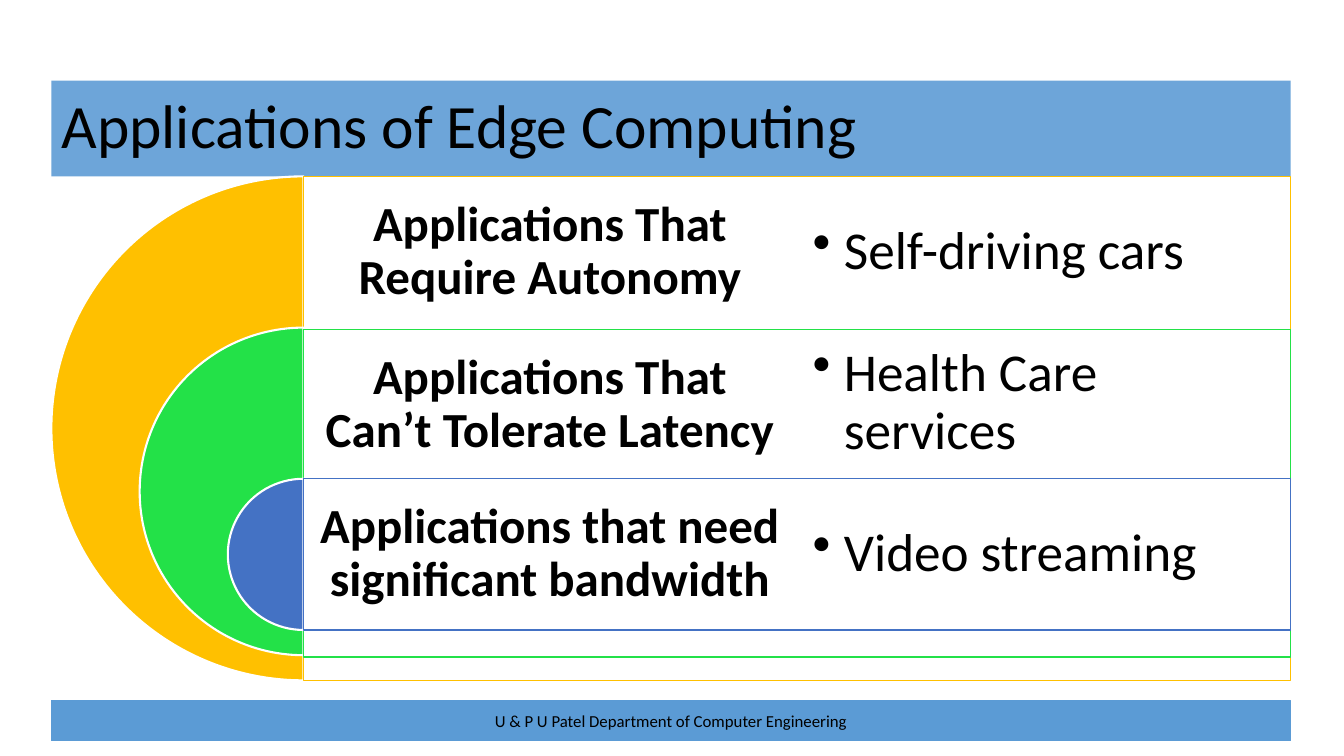
from lxml.etree import SubElement as Sub
from pptx import Presentation
from pptx.dml.color import RGBColor as Rgb
from pptx.enum.shapes import MSO_SHAPE as Kind
from pptx.enum.text import MSO_ANCHOR as Anchor, MSO_AUTO_SIZE as Fit, PP_ALIGN as Align
from pptx.oxml.ns import qn
from pptx.util import Inches, Pt

HUES = {
    "sky": "5B9BD5",
    "gold": "FFC000",
    "green": "23E148",
    "blue": "4472C4",
    "white": "FFFFFF",
    "black": "000000",
}
LEFT, WIDE, TOP, ROW = 0.51, 12.29, 1.75, 1.5
EDGE, HALF = 3.01, 4.89
RINGS = [
    ("gold", 5, 1.75, "Applications That Require Autonomy", "Self-driving cars"),
    ("green", 3.25, 3.27, "Applications That Can’t Tolerate Latency", "Health Care services"),
    ("blue", 1.5, 4.75, "Applications that need significant bandwidth", "Video streaming"),
]


def assign(item, vals):
    for key, val in vals.items():
        setattr(item, key, val)


class Deck:
    def __init__(self, face):
        self.face = face
        self.prs = Presentation()
        assign(self.prs, {"slide_width": Inches(13.33), "slide_height": Inches(7.5)})
        self.slide = self.prs.slides.add_slide(self.prs.slide_layouts[5])

    def paint(self, fill, hue, alpha=100):
        fill.solid()
        fill.fore_color.rgb = Rgb.from_string(HUES[hue])
        if alpha < 100:
            tone = fill._xPr.find(qn("a:solidFill"))[0]
            Sub(tone, qn("a:alpha"), val=str(alpha * 1000))

    def shape(self, kind, box, hue, line, width, alpha=100):
        item = self.slide.shapes.add_shape(kind, *map(Inches, box))
        item.shadow.inherit = False
        self.paint(item.fill, hue, alpha)
        self.paint(item.line.fill, line)
        item.line.width = Pt(width)
        return item

    def text(self, item, words, size, align, bold=False, pad=None, space=0.9):
        frame = item.text_frame
        assign(frame, {"word_wrap": True, "auto_size": Fit.NONE,
                       "vertical_anchor": Anchor.MIDDLE})
        if pad is not None:
            sides = ("left", "right", "top", "bottom")
            assign(frame, {f"margin_{side}": Inches(pad) for side in sides})
        para = frame.paragraphs[0]
        assign(para, {"alignment": align, "line_spacing": space})
        run = para.add_run()
        run.text = words
        assign(run.font, {"name": self.face, "size": Pt(size), "bold": bold})
        run.font.color.rgb = Rgb.from_string(HUES["black"])
        return para

    def title(self, box, words):
        item = self.slide.shapes.title
        assign(item, dict(zip(("left", "top", "width", "height"), map(Inches, box))))
        self.paint(item.fill, "sky", 89)
        self.text(item, words, 44, Align.LEFT)

    def bar(self, box, words):
        item = self.shape(Kind.RECTANGLE, box, "sky", "sky", 0.75)
        self.text(item, words, 12, Align.CENTER, space=1.0)

    def ring(self, hue, size, top, base):
        box = (EDGE - size / 2, base, size, size)
        pie = self.shape(Kind.PIE, box, hue, "white", 1.5)
        pie.adjustments[0], pie.adjustments[1] = 54, 162
        frame = (EDGE, top, LEFT + WIDE - EDGE, size)
        self.shape(Kind.RECTANGLE, frame, "white", hue, 1, 90)

    def label(self, top, words):
        box = map(Inches, (EDGE, top, HALF, ROW))
        item = self.slide.shapes.add_textbox(*box)
        self.text(item, words, 35, Align.CENTER, bold=True, pad=0.15)

    def bullet(self, top, words):
        box = map(Inches, (EDGE + HALF, top, HALF, ROW))
        item = self.slide.shapes.add_textbox(*box)
        para = self.text(item, words, 38, Align.LEFT, pad=0.16)
        para.level = 1
        props = para._p.get_or_add_pPr()
        props.set("marL", str(Inches(0.31)))
        props.set("indent", str(Inches(-0.31)))
        Sub(props, qn("a:buChar"), char="•")


def main():
    deck = Deck("Calibri")
    deck.bar((LEFT, 6.95, WIDE, 0.4), "U & P U Patel Department of Computer Engineering")
    deck.title((LEFT, 0.8, WIDE, 0.95), "Applications of Edge Computing")
    for num, (hue, size, top, need, case) in enumerate(RINGS):
        base = TOP + num * ROW
        deck.ring(hue, size, top, base)
        deck.label(top, need)
        deck.bullet(base, case)
    deck.prs.save("out.pptx")


if __name__ == "__main__":
    main()
